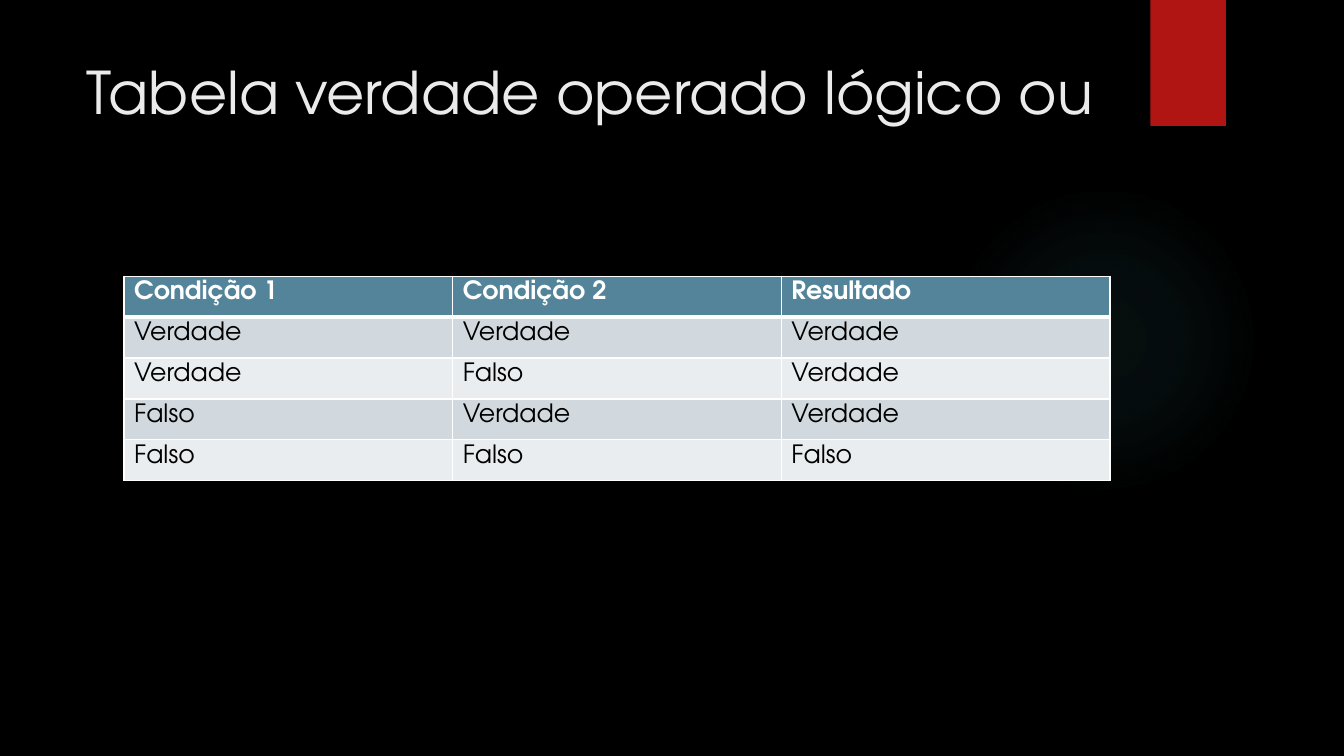
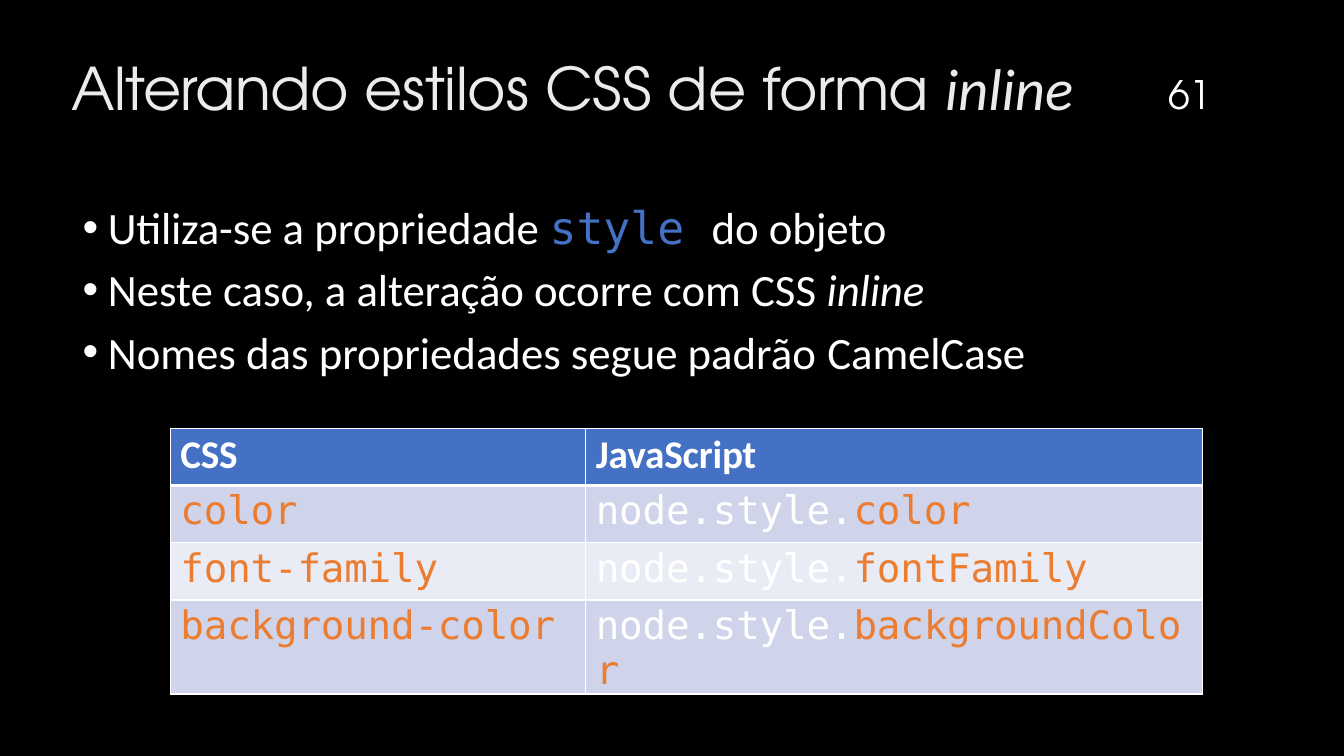
from lxml.etree import SubElement
from pptx import Presentation
from pptx.dml.color import RGBColor
from pptx.enum.shapes import MSO_SHAPE
from pptx.enum.text import MSO_ANCHOR, MSO_AUTO_SIZE, PP_ALIGN
from pptx.oxml.ns import qn
from pptx.util import Inches, Pt

BLACK = RGBColor(0x00, 0x00, 0x00)
WHITE = RGBColor(0xFF, 0xFF, 0xFF)
TITLE_GREY = RGBColor(0xEB, 0xEB, 0xEB)
RIBBON_RED = RGBColor(0xB0, 0x15, 0x13)
GLOW_TEAL = RGBColor(0x50, 0xB9, 0xC1)
CODE_BLUE = RGBColor(0x44, 0x71, 0xC4)
CODE_ORANGE = RGBColor(0xEC, 0x7C, 0x30)
# Table fills: header, odd body rows, even body rows
STEEL_BANDS = (RGBColor(0x54, 0x84, 0x9A), RGBColor(0xD1, 0xD9, 0xDE), RGBColor(0xE9, 0xED, 0xEF))
BLUE_BANDS = (CODE_BLUE, RGBColor(0xCF, 0xD4, 0xEA), RGBColor(0xE9, 0xEB, 0xF5))

DISPLAY, BODY, MONO = "TeX Gyre Adventor", "Calibri", "DejaVu Sans Mono"

TITLE = {"name": DISPLAY, "size": Pt(42), "color": TITLE_GREY}
PAGE_NUMBER = {"name": DISPLAY, "size": Pt(28), "color": WHITE, "spacing": -0.2}
BULLET = {"name": BODY, "size": Pt(32), "color": WHITE}
TRUTH_HEADER = {"name": DISPLAY, "size": Pt(18), "color": WHITE, "bold": True}
TRUTH_VALUE = TRUTH_HEADER | {"color": BLACK, "bold": False}
STYLE_HEADER = {"name": BODY, "size": Pt(28), "color": WHITE, "bold": True, "spacing": -0.1}
STYLE_CODE = STYLE_HEADER | {"name": MONO, "color": CODE_ORANGE, "bold": False}

DEFAULT_INSETS = (0.1, 0.05, 0.1, 0.05)
NO_INSETS = (0, 0, 0, 0)
CELL_INSETS = (0, 0.03, 0, 0)


def add_runs(paragraph, base, runs):
    """Add (text, overrides) runs, each formatted with base plus its overrides."""
    for text, overrides in runs:
        run = paragraph.add_run()
        run.text = text
        style = base | overrides
        run.font.color.rgb = style.pop("color")
        spacing = style.pop("spacing", 0)
        run.font._element.set("spc", str(round(spacing * 100)))
        for attribute, value in style.items():
            setattr(run.font, attribute, value)


def indent(paragraph, left, first=0):
    properties = paragraph._p.get_or_add_pPr()
    properties.set("marL", str(Inches(left)))
    properties.set("indent", str(Inches(first)))


def place(shape, box):
    for side, value in zip(("left", "top", "width", "height"), box):
        setattr(shape, side, Inches(value))


def set_insets(target, insets):
    for side, value in zip(("left", "top", "right", "bottom"), insets):
        setattr(target, f"margin_{side}", Inches(value))


def prepare_frame(shape, insets, anchor=MSO_ANCHOR.TOP):
    frame = shape.text_frame
    frame.word_wrap = True
    frame.auto_size = MSO_AUTO_SIZE.NONE
    frame.vertical_anchor = anchor
    set_insets(frame, insets)
    return frame


def add_title(slide, box, runs, insets=DEFAULT_INSETS, space_before=0):
    title = slide.shapes.title
    place(title, box)
    paragraph = prepare_frame(title, insets).paragraphs[0]
    paragraph.alignment = PP_ALIGN.LEFT
    paragraph.space_before = Pt(space_before)
    add_runs(paragraph, TITLE, runs)


def add_plain_shape(slide, kind, box):
    shape = slide.shapes.add_shape(kind, *map(Inches, box))
    shape.shadow.inherit = False
    shape.line.fill.background()
    return shape


def add_glow(slide, box):
    """Add a faint round light that fades out towards its rim."""
    glow = add_plain_shape(slide, MSO_SHAPE.OVAL, box)
    glow.fill.gradient()
    gradient = glow._element.spPr.find(qn("a:gradFill"))
    for child in list(gradient):
        gradient.remove(child)
    stops = SubElement(gradient, qn("a:gsLst"))
    for position, opacity in ((0, 7), (36, 6), (69, 0)):
        stop = SubElement(stops, qn("a:gs"), pos=str(position * 1000))
        color = SubElement(stop, qn("a:srgbClr"), val=str(GLOW_TEAL))
        SubElement(color, qn("a:alpha"), val=str(opacity * 1000))
    circle = SubElement(gradient, qn("a:path"), path="circle")
    center = dict.fromkeys("ltrb", "50000")
    SubElement(circle, qn("a:fillToRect"), center)


def add_ribbon(slide, box):
    ribbon = add_plain_shape(slide, MSO_SHAPE.RECTANGLE, box)
    ribbon.fill.solid()
    ribbon.fill.fore_color.rgb = RIBBON_RED


def add_page_number(slide, box, number):
    holder = slide.shapes.add_textbox(*map(Inches, box))
    paragraph = prepare_frame(holder, NO_INSETS, MSO_ANCHOR.BOTTOM).paragraphs[0]
    paragraph.alignment = PP_ALIGN.CENTER
    paragraph.line_spacing = Pt(12.4)
    indent(paragraph, 0.04)
    add_runs(paragraph, PAGE_NUMBER, [(number, {})])


def add_bullets(slide, box, items):
    """Fill the body placeholder with (space before, runs) items."""
    body = slide.placeholders[1]
    place(body, box)
    frame = prepare_frame(body, (0, 0.1, 0, 0))
    for index, (space_before, runs) in enumerate(items):
        paragraph = frame.add_paragraph() if index else frame.paragraphs[0]
        paragraph.space_before = Pt(space_before)
        indent(paragraph, 0.26, -0.25)
        add_runs(paragraph, BULLET, runs)


def set_borders(cell, row_index):
    """White 1 pt borders, with a 3 pt rule below the header row."""
    heavy = {0: "lnB", 1: "lnT"}.get(row_index)
    properties = cell._tc.get_or_add_tcPr()
    for edge in ("lnL", "lnR", "lnT", "lnB"):
        width = Pt(3 if edge == heavy else 1)
        line = SubElement(properties, qn(f"a:{edge}"), w=str(width))
        fill = SubElement(line, qn("a:solidFill"))
        SubElement(fill, qn("a:srgbClr"), val=str(WHITE))


def add_banded_table(slide, box, column_widths, rows, bands, styles,
                     insets=DEFAULT_INSETS, left_indent=0, space_before=0):
    """Each cell of rows is a list of runs; styles are for header and body."""
    table = slide.shapes.add_table(len(rows), len(column_widths), *map(Inches, box)).table
    for column, width in zip(table.columns, column_widths):
        column.width = Inches(width)
    for row_index, row in enumerate(rows):
        band = bands[2 - row_index % 2] if row_index else bands[0]
        for column_index, runs in enumerate(row):
            cell = table.cell(row_index, column_index)
            set_borders(cell, row_index)
            cell.fill.solid()
            cell.fill.fore_color.rgb = band
            set_insets(cell, insets)
            paragraph = cell.text_frame.paragraphs[0]
            paragraph.space_before = Pt(space_before)
            indent(paragraph, left_indent)
            add_runs(paragraph, styles[min(row_index, 1)], runs)


def build_truth_table_slide(presentation):
    slide = presentation.slides.add_slide(presentation.slide_layouts[5])
    add_glow(slide, (9.41, 1.83, 3.08, 3.08))
    add_ribbon(slide, (11.41, 0, 0.75, 1.25))
    add_title(slide, (0.76, 0.5, 10.29, 1.53), [("Tabela verdade operado lógico ou", {})])
    words = {True: "Verdade", False: "Falso"}
    texts = [("Condição 1", "Condição 2", "Resultado")]
    for first in (True, False):
        for second in (True, False):
            texts.append([words[value] for value in (first, second, first or second)])
    rows = [[[(text, {})] for text in row] for row in texts]
    add_banded_table(slide, (1.23, 2.74, 9.78, 2.03), [3.26] * 3, rows,
                     STEEL_BANDS, (TRUTH_HEADER, TRUTH_VALUE))


def build_inline_style_slide(presentation):
    slide = presentation.slides.add_slide(presentation.slide_layouts[1])
    add_title(slide, (0.71, 0.5, 10.29, 1.53), [
        ("Alterando ", {"spacing": -0.5}),
        ("estilos ", {"spacing": -0.2}),
        ("CSS de ", {}),
        ("forma ", {"spacing": -0.4}),
        ("inline", {"name": BODY, "italic": True, "spacing": -0.1}),
    ], insets=(0, 0.01, 0, 0), space_before=1.1)
    add_page_number(slide, (11.32, 0.32, 0.92, 0.84), "61")
    tight = {"spacing": -0.1}
    add_bullets(slide, (0.81, 1.88, 9.39, 1.88), [
        (7.2, [("Utiliza-", {"spacing": -0.2}), ("se a propriedade ", {}),
               ("style ", {"name": MONO, "color": CODE_BLUE}),
               ("do ", {}), ("objeto", tight)]),
        (6.2, [("Neste caso, a ", {}), ("alteração ", tight),
               ("ocorre com CSS ", {}), ("inline", tight | {"italic": True})]),
        (6.1, [("Nomes das propriedades segue padrão ", {}), ("CamelCase", tight)]),
    ])
    properties = (("color", "color"), ("font-family", "fontFamily"),
                  ("background-color", "backgroundColor"))
    rows = [[[("CSS", {"spacing": -0.2})], [("JavaScript", {})]]]
    for css, script in properties:
        rows.append([[(css, {})], [("node.style.", {"color": WHITE}), (script, {})]])
    add_banded_table(slide, (1.69, 4.25, 10.24, 2.27), (4.12, 6.12), rows,
                     BLUE_BANDS, (STYLE_HEADER, STYLE_CODE),
                     insets=CELL_INSETS, left_indent=0.1, space_before=2)


def main():
    presentation = Presentation()
    presentation.slide_width = Inches(13.33)
    presentation.slide_height = Inches(7.5)
    backdrop = presentation.slide_master.background.fill
    backdrop.solid()
    backdrop.fore_color.rgb = BLACK
    build_truth_table_slide(presentation)
    build_inline_style_slide(presentation)
    presentation.save("out.pptx")


if __name__ == "__main__":
    main()
